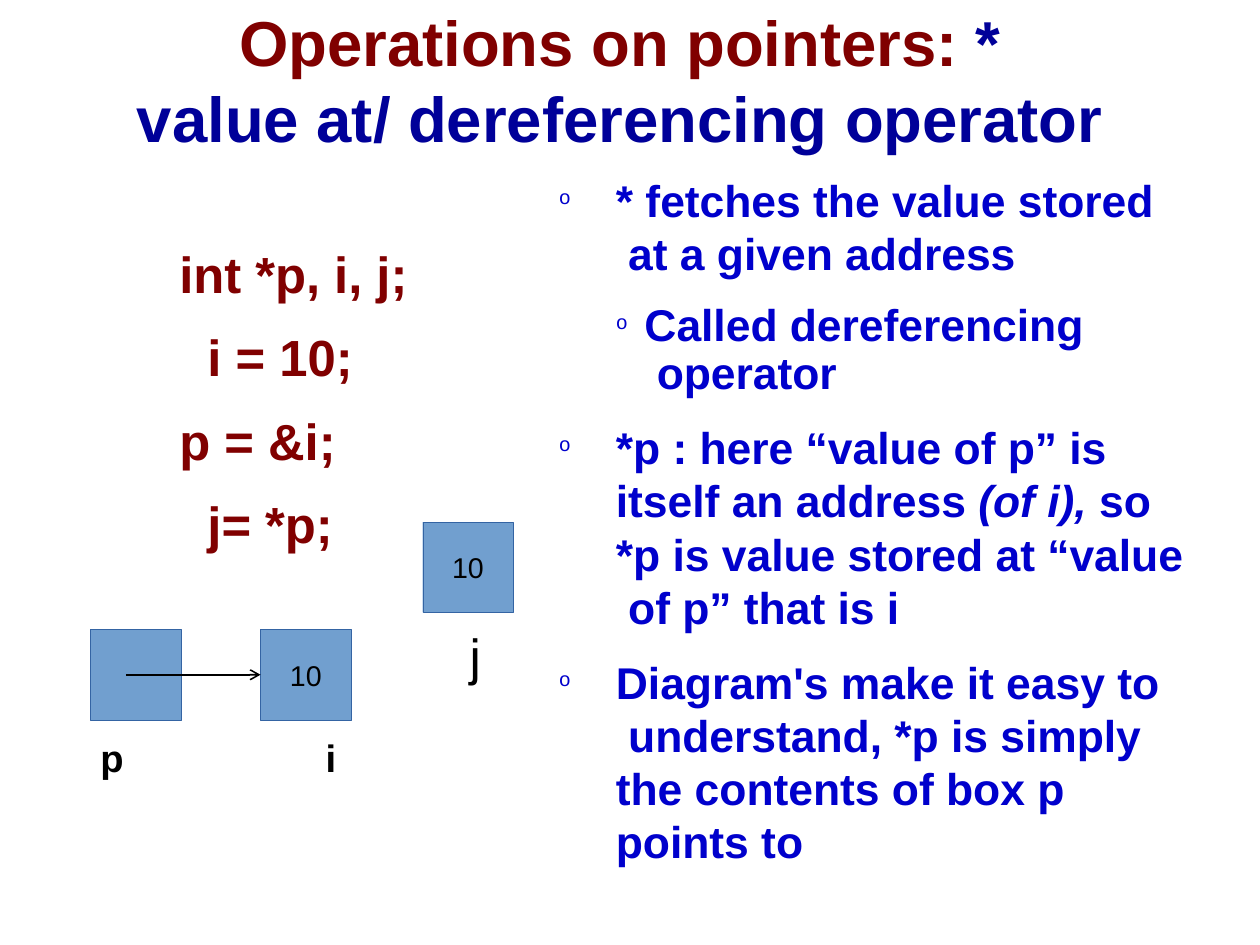
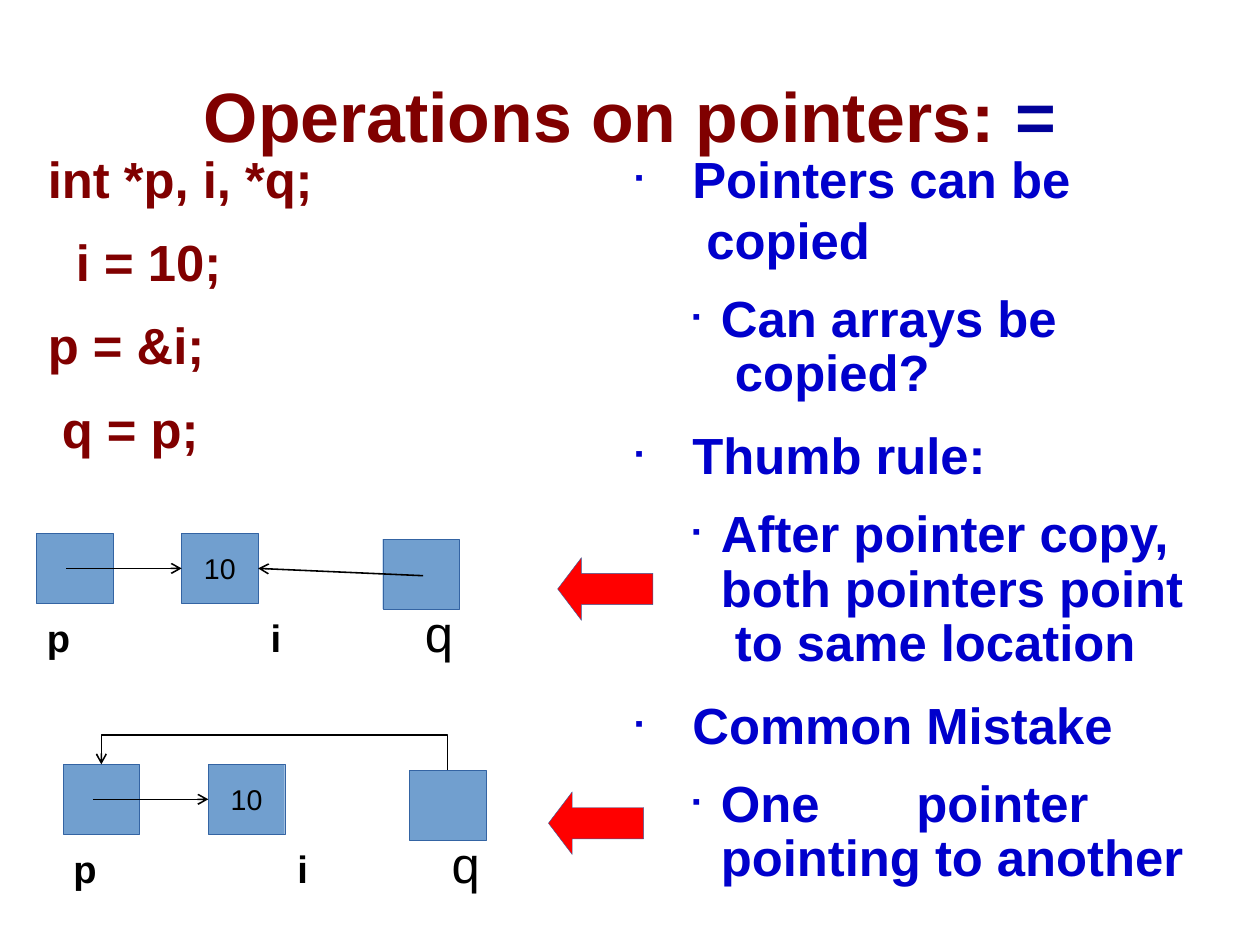
from dataclasses import dataclass
from lxml.etree import SubElement
from pptx import Presentation
from pptx.dml.color import RGBColor as RGB
from pptx.enum.shapes import MSO_CONNECTOR as LINE, MSO_SHAPE as SHAPE
from pptx.enum.text import MSO_ANCHOR as ANCHOR, PP_ALIGN as ALIGN
from pptx.oxml.ns import qn
from pptx.util import Pt


@dataclass(frozen=True)
class Theme:
    font: str = "Arial"
    maroon: RGB = RGB(0x80, 0, 0)
    navy: RGB = RGB(0, 0, 0x99)
    blue: RGB = RGB(0, 0, 0xCC)
    black: RGB = RGB(0, 0, 0)
    red: RGB = RGB(0xFF, 0, 0)
    cell_fill: RGB = RGB(0x71, 0x9F, 0xCF)
    cell_line: RGB = RGB(0x34, 0x64, 0xA3)
    code: int = 32
    value: int = 18
    label: int = 24
    big_label: int = 32
    line_height: float = 1.2
    sub_line_height: float = 1.08
    code_line_height: float = 1.64


theme = Theme()


def write(frame, paragraphs, size, color, bold=True, height=theme.line_height,
          align=ALIGN.LEFT, bullet=None):
    """Each paragraph is (level, runs); a run is (text, {option: value})."""
    frame.word_wrap = True
    frame.margin_left = frame.margin_right = frame.margin_top = frame.margin_bottom = 0
    for index, (level, runs) in enumerate(paragraphs):
        par = frame.paragraphs[0] if index == 0 else frame.add_paragraph()
        par.alignment = align
        par.line_spacing = Pt(round(size * (theme.sub_line_height if level else height), 2))
        if bullet:
            char, bullet_font = bullet
            par.level = level
            par.space_before = Pt(0 if index == 0 else 14.5 if level else 13.5)
            props = par._p.get_or_add_pPr()
            props.set("marL", str(Pt(54.7 if level else 36.7)))
            props.set("indent", str(Pt(-18 if level else -36)))
            SubElement(props, qn("a:buSzPct")).set("val", "45000")
            SubElement(props, qn("a:buFont")).set("typeface", bullet_font)
            SubElement(props, qn("a:buChar")).set("char", char)
        for text, options in runs:
            for row, piece in enumerate(text.split("\n")):
                if row:
                    par.add_line_break()
                if not piece:
                    continue
                run = par.add_run()
                run.text = piece
                font = run.font
                font.name, font.size, font.bold = theme.font, Pt(size), bold
                font.color.rgb = options.get("color", color)
                if options.get("italic"):
                    font.italic = True
                if "spacing" in options:
                    run._r.get_or_add_rPr().set("spc", str(options["spacing"] * 100))


def style_arrow(arrow):
    arrow.line.color.rgb = theme.black
    arrow.line.width = Pt(1)
    SubElement(arrow.line._get_or_add_ln(), qn("a:tailEnd")).set("type", "arrow")
    if arrow._element.spPr.find(qn("a:effectLst")) is None:
        SubElement(arrow._element.spPr, qn("a:effectLst"))


prs = Presentation()
prs.slide_width, prs.slide_height = Pt(794), Pt(595.5)

# Content of both slides; boxes are left, top, width, height
lessons = [
    dict(
        title=("Operations on pointers: ", "*\nvalue at/ dereferencing operator"),
        title_box=(85, 2, 611, 98), title_size=40,
        code=["int *p, i, j;", "  i = 10;", "p = &i;", "  j= *p;"],
        code_box=(113, 139, 190, 212),
        points=[
            (0, [("* fetches the value stored\n at a given address", {})]),
            (1, [("Called dereferencing\n operator", {})]),
            (0, [("*p : here “value of p” is\nitself an address ", {}),
                 ("(of i), ", {"italic": True}),
                 ("so\n*p is value stored at “value\n of p” that is i", {})]),
            (0, [("Diagram's make it easy to\n understand, *p is simply\n"
                  "the contents of box p\npoints to", {})]),
        ],
        points_box=(351.4, 109, 420, 444), points_size=28, bullet=("o", "Courier New"),
        cell_size=(57, 57), origins=[(0, 0)],
        cells={"p": (57, 396.7), "i": (164.2, 396.7), "j": (266.4, 329)},
        values={"i": "10", "j": "10"},
        labels={"p": (63.3, 462.5), "i": (205.2, 462.5), "j": (296, 393.4)},
        tail_inset=22.3, markers=[],
    ),
    dict(
        title=("Operations on pointers: ", "="),
        title_box=(127, 46, 540, 55), title_size=44,
        code=["int *p, i, *q;", "  i = 10;", "p = &i;", " q = p;"],
        code_box=(30.2, 79, 200, 212),
        points=[
            (0, [("Pointers can be\n copied", {})]),
            (1, [("Can arrays be\n copied?", {})]),
            (0, [("Thumb rule:", {})]),
            (1, [("After pointer copy,\nboth pointers point\n to same location", {})]),
            (0, [("Common Mistake", {})]),
            (1, [("One", {}), (" ", {"spacing": 52}), ("pointer\npointing to another", {})]),
        ],
        points_box=(399.6, 93, 370, 468), points_size=32, bullet=("▪", theme.font),
        cell_size=(48.2, 44), origins=[(0, 0), (16.8, 145.5)],
        cells={"p": (23, 336.2), "i": (114.5, 336.2), "q": (241.2, 339.8)},
        values={"i": "10"},
        labels={"p": (29.5, 387), "i": (170.6, 387), "q": (267.8, 379)},
        tail_inset=18.7, markers=[(351.4, 351.4), (345.6, 499)],
    ),
]

for lesson in lessons:
    slide = prs.slides.add_slide(prs.slide_layouts[6])
    shapes = slide.shapes

    # Title, code and points
    heading, operator = lesson["title"]
    title = shapes.add_textbox(*map(Pt, lesson["title_box"]))
    write(title.text_frame, [(0, [(heading, {}), (operator, {"color": theme.navy})])],
          lesson["title_size"], theme.maroon, align=ALIGN.CENTER)
    code = shapes.add_textbox(*map(Pt, lesson["code_box"]))
    write(code.text_frame, [(0, [(row, {})]) for row in lesson["code"]],
          theme.code, theme.maroon, height=theme.code_line_height)
    points = shapes.add_textbox(*map(Pt, lesson["points_box"]))
    write(points.text_frame, lesson["points"], lesson["points_size"], theme.blue,
          bullet=lesson["bullet"])

    # Memory diagrams
    cell_width, cell_height = lesson["cell_size"]
    for number, (dx, dy) in enumerate(lesson["origins"]):
        cells = {}
        places = {name: (x + dx, y + dy) for name, (x, y) in lesson["cells"].items()}
        for name, (x, y) in places.items():
            cell = shapes.add_shape(SHAPE.RECTANGLE, Pt(x), Pt(y), Pt(cell_width), Pt(cell_height))
            cell.shadow.inherit = False
            cell.fill.solid()
            cell.fill.fore_color.rgb = theme.cell_fill
            cell.line.color.rgb = theme.cell_line
            cell.line.width = Pt(0.25)
            if name in lesson["values"]:
                cell.text_frame.vertical_anchor = ANCHOR.MIDDLE
                write(cell.text_frame, [(0, [(lesson["values"][name], {})])], theme.value,
                      theme.black, bold=False, align=ALIGN.CENTER)
            cells[name] = cell

            label_x, label_y = lesson["labels"][name]
            plain = name in "jq"
            label = shapes.add_textbox(Pt(label_x + dx), Pt(label_y + dy), Pt(30), Pt(40))
            write(label.text_frame, [(0, [(name, {})])],
                  theme.big_label if plain else theme.label, theme.black, bold=not plain)

        # p points to i
        p_x, p_y = places["p"]
        i_x, i_y = places["i"]
        middle = i_y + cell_height / 2
        p_arrow = shapes.add_connector(LINE.STRAIGHT, Pt(p_x + lesson["tail_inset"]), Pt(middle),
                                       Pt(i_x), Pt(middle))
        p_arrow.end_connect(cells["i"], 1)
        style_arrow(p_arrow)

        # q points to i first, then by mistake to p
        if "q" in places:
            q_x, q_y = places["q"]
            if number == 0:
                q_arrow = shapes.add_connector(LINE.STRAIGHT, Pt(q_x + 25.4), Pt(q_y + 23),
                                               Pt(i_x + cell_width), Pt(middle))
                q_arrow.end_connect(cells["i"], 3)
            else:
                q_mid, p_mid = q_x + cell_width / 2, p_x + cell_width / 2
                bend = p_y - 18.4
                route = shapes.build_freeform(Pt(q_mid), Pt(q_y))
                route.add_line_segments([(Pt(q_mid), Pt(bend)), (Pt(p_mid), Pt(bend)),
                                         (Pt(p_mid), Pt(p_y))], close=False)
                q_arrow = route.convert_to_shape()
                q_arrow.shadow.inherit = False
                q_arrow.fill.background()
            style_arrow(q_arrow)

    # Red markers
    for x, y in lesson["markers"]:
        marker = shapes.add_shape(SHAPE.LEFT_ARROW, Pt(x), Pt(y), Pt(60), Pt(39.5))
        marker.shadow.inherit = False
        marker.adjustments[0], marker.adjustments[1] = 0.5, 0.38
        marker.fill.solid()
        marker.fill.fore_color.rgb = theme.red
        marker.line.color.rgb = theme.cell_line
        marker.line.width = Pt(0.25)

prs.save("out.pptx")
